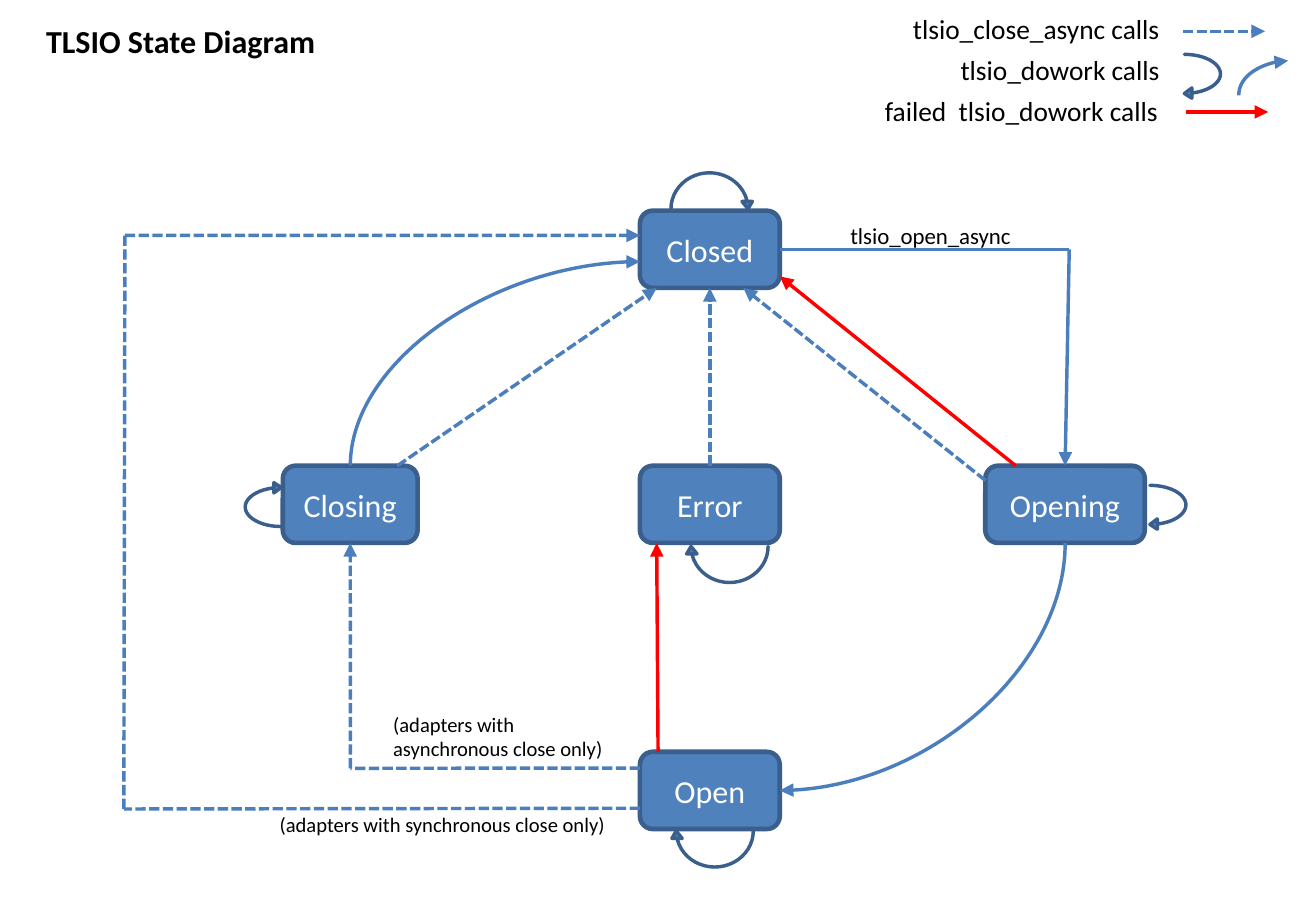
from lxml.etree import SubElement
from pptx import Presentation
from pptx.dml.color import RGBColor
from pptx.enum.dml import MSO_LINE
from pptx.enum.shapes import MSO_CONNECTOR as Link, MSO_SHAPE as Shape
from pptx.enum.text import MSO_ANCHOR as Anchor, MSO_AUTO_SIZE as AutoSize, PP_ALIGN as Align
from pptx.oxml.ns import qn
from pptx.util import Pt

FONT = "Calibri"
BLACK = RGBColor(0, 0, 0)
WHITE = RGBColor(255, 255, 255)
RED = RGBColor(255, 0, 0)
NODE_FILL = RGBColor(0x4F, 0x81, 0xBD)
NODE_EDGE = RGBColor(0x3A, 0x5F, 0x8C)
LINK_BLUE = RGBColor(0x4B, 0x7E, 0xBC)

# Content: all lengths in points
TITLE = "TLSIO State Diagram"
NODE_HEIGHT = 33.8
NODES = {  # name: left, top, width
    "Closed": (280.1, 92.2, 61.2),
    "Opening": (431.3, 203.8, 69.8),
    "Closing": (123.8, 203.8, 59),
    "Open": (280.1, 329, 61.2),
    "Error": (280.1, 203.8, 61.2),
}
# A stop is a slide point, or a node with fractions of its width and height
CLOSE_ROUTES = [
    [("Open", 0, 0.21), (153.4, 336.2), ("Closing", 0.5, 1)],
    [("Open", 0, 0.73), (54.2, 354), (54.7, 103), ("Closed", 0, 0.32)],
    [("Error", 0.5, 0), ("Closed", 0.5, 1)],
    [("Opening", 0, 0.19), ("Closed", 0.74, 1)],
    [("Closing", 0.85, 0), ("Closed", 0.12, 1)],
    [(517.7, 13.7), (553.7, 13.7)],
]
OPEN_ROUTES = [[("Closed", 1, 0.5), (468, 109.1), ("Opening", 0.5, 0)]]
FAILED_ROUTES = [
    [("Opening", 0.19, 0), ("Closed", 1, 0.85)],
    [("Open", 0.13, 0), ("Error", 0.12, 1)],
    [(519.1, 49), (555.1, 49)],
]
WORK_CURVES = [
    (("Opening", 0.5, 1), ("Open", 1, 0.5)),
    (("Closing", 0.5, 0), ("Closed", 0, 0.66)),
    ((542.2, 41.8), (563.8, 26.6)),
]
LOOP_WIDTH = 15.8
LOOPS = [  # left, top, height, rotation
    (518.4, 23.8, 19.4, 0),
    (503.3, 212.4, 19.4, 0),
    (303.8, 353.5, 36, 90),
    (107.3, 211, 19.4, 180),
    (310.3, 229, 36, 90),
    (303.8, 65.5, 36, 270),
]
LABELS = [  # text, size, left, top, width, height, alignment, wrap
    ("(adapters with asynchronous close only)", 9, 161.3, 306, 117.4, 33.1, Align.LEFT, True),
    ("(adapters with synchronous close only)", 9, 111.6, 349.9, 170.6, 21.6, Align.LEFT, False),
    ("tlsio_open_async", 10, 361.4, 91.4, 92.9, 23, Align.LEFT, False),
    ("tlsio_close_async calls", 12, 386.6, 0, 131.8, 25.9, Align.RIGHT, False),
    ("tlsio_dowork calls", 12, 404.6, 18, 113.8, 25.9, Align.RIGHT, False),
    ("failed  tlsio_dowork calls", 12, 374.4, 36, 143.3, 25.9, Align.RIGHT, False),
]


def points(*values):
    return [Pt(value) for value in values]


def write(frame, text, size, color, align, bold=False):
    para = frame.paragraphs[0]
    para.alignment = align
    span = para.add_run()
    span.text = text
    span.font.name, span.font.size, span.font.bold = FONT, Pt(size), bold
    span.font.color.rgb = color


def locate(stop):
    if len(stop) == 2:
        return stop
    name, across, down = stop
    left, top, width = NODES[name]
    return left + across * width, top + down * NODE_HEIGHT


def add_link(kind, start, end, color, dashed=False, arrow=True):
    link = slide.shapes.add_connector(kind, *points(*start, *end))
    link.line.color.rgb = color
    link.line.width = Pt(1.5)
    if dashed:
        link.line.dash_style = MSO_LINE.SQUARE_DOT
    properties = link._element.spPr
    if arrow:
        SubElement(properties.find(qn("a:ln")), qn("a:tailEnd"), type="triangle")
    SubElement(properties, qn("a:effectLst"))
    return properties


def add_route(stops, color, dashed=False):
    corners = [locate(stop) for stop in stops]
    for start, end in zip(corners, corners[1:]):
        add_link(Link.STRAIGHT, start, end, color, dashed, arrow=end is corners[-1])


def add_curve(start, end):
    """Quarter bend that leaves vertically: a connector turned by 90 degrees."""
    (x1, y1), (x2, y2) = locate(start), locate(end)
    middle_x, middle_y = (x1 + x2) / 2, (y1 + y2) / 2
    half_width = (y2 - y1) / 2
    half_height = abs(x2 - x1) / 2 * (1 if y2 > y1 else -1)
    properties = add_link(
        Link.CURVE,
        (middle_x - half_width, middle_y - half_height),
        (middle_x + half_width, middle_y + half_height),
        LINK_BLUE,
    )
    properties.find(qn("a:xfrm")).set("rot", "5400000")
    properties.find(qn("a:prstGeom")).set("prst", "curvedConnector2")


def add_solid(kind, left, top, width, height, edge_width):
    shape = slide.shapes.add_shape(kind, *points(left, top, width, height))
    shape.shadow.inherit = False
    shape.fill.solid()
    shape.fill.fore_color.rgb = NODE_FILL
    shape.line.color.rgb = NODE_EDGE
    shape.line.width = Pt(edge_width)
    return shape


deck = Presentation()
deck.slide_width, deck.slide_height = points(576, 396)
slide = deck.slides.add_slide(deck.slide_layouts[5])

# Title
title = slide.shapes.title
title.left, title.top, title.width, title.height = points(12.2, 5.8, 133.9, 24.5)
title.text_frame.word_wrap = False
title.text_frame.auto_size = AutoSize.NONE
title.text_frame.vertical_anchor = Anchor.TOP
write(title.text_frame, TITLE, 14, BLACK, Align.CENTER, bold=True)

# States
for name, (left, top, width) in NODES.items():
    node = add_solid(Shape.ROUNDED_RECTANGLE, left, top, width, NODE_HEIGHT, 2)
    node.text_frame.vertical_anchor = Anchor.MIDDLE
    write(node.text_frame, name, 14, WHITE, Align.CENTER)

# Transitions, with their legend samples
for route in CLOSE_ROUTES:
    add_route(route, LINK_BLUE, dashed=True)
for route in OPEN_ROUTES:
    add_route(route, LINK_BLUE)
for route in FAILED_ROUTES:
    add_route(route, RED)
for start, end in WORK_CURVES:
    add_curve(start, end)

# Loops back to the same state
for left, top, height, rotation in LOOPS:
    loop = add_solid(Shape.CURVED_LEFT_ARROW, left, top, LOOP_WIDTH, height, 1.5)
    loop.rotation = rotation
    for index, value in enumerate((0, 0.286, 0.207)):
        loop.adjustments[index] = value

# Labels
for text, size, left, top, width, height, align, wrap in LABELS:
    box = slide.shapes.add_textbox(*points(left, top, width, height))
    frame = box.text_frame
    frame.word_wrap = wrap
    frame.auto_size = AutoSize.SHAPE_TO_FIT_TEXT
    frame.margin_left = frame.margin_right = Pt(10.8)
    frame.margin_top = frame.margin_bottom = Pt(5.4)
    write(frame, text, size, BLACK, align)

deck.save("out.pptx")
